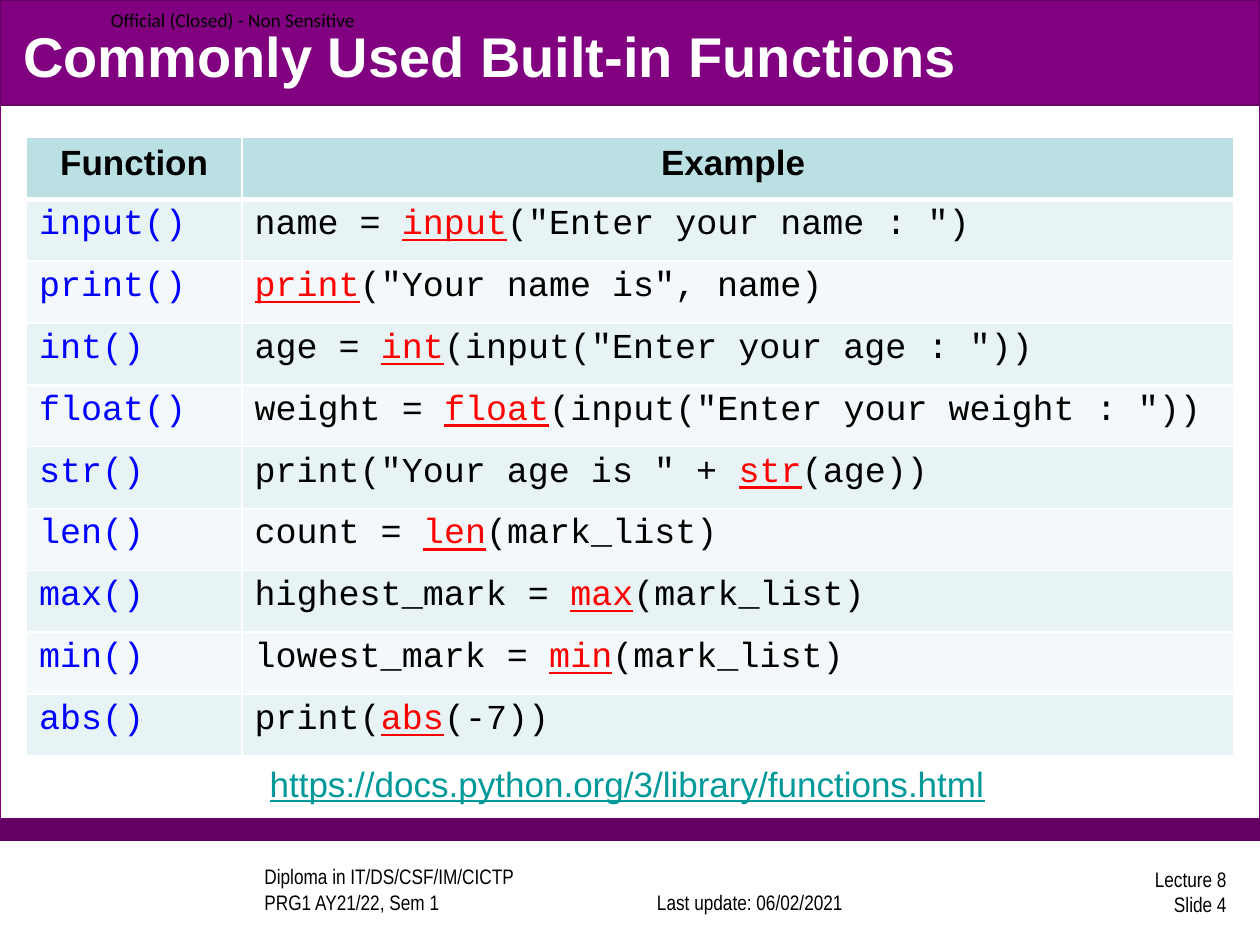
from dataclasses import dataclass
from typing import NamedTuple

from lxml.etree import SubElement
from pptx import Presentation
from pptx.dml.color import RGBColor
from pptx.enum.shapes import MSO_SHAPE
from pptx.enum.text import MSO_ANCHOR, PP_ALIGN
from pptx.oxml.ns import qn
from pptx.util import Pt


@dataclass(frozen=True)
class Theme:
    white: str = "FFFFFF"
    black: str = "000000"
    purple: str = "800080"
    dark_purple: str = "640064"
    header_fill: str = "BBE0E3"
    row_fills: tuple = ("E7F3F4", "F3F9FA")
    function: str = "0000FF"
    highlight: str = "FF0000"
    link: str = "009999"
    heading_font: str = "Arial"
    code_font: str = "Courier New"
    footer_font: str = "Arial Narrow"
    label_font: str = "Calibri"
    title_size: float = 32
    body_size: float = 20
    footer_size: float = 12
    label_size: float = 11


class Box(NamedTuple):
    left: float
    top: float
    width: float
    height: float

    def lengths(self) -> list:
        return [Pt(value) for value in self]


class Band(NamedTuple):
    box: Box
    fill: str
    line: str


class Note(NamedTuple):
    box: Box
    text: str
    font: str
    size: float
    color: str = "000000"
    align: PP_ALIGN = PP_ALIGN.LEFT
    anchor: MSO_ANCHOR = MSO_ANCHOR.MIDDLE
    inset: bool = True
    underline: bool = False


class Example(NamedTuple):
    function: str
    code: str


THEME = Theme()

BANDS = [
    Band(Box(0, 0, 720, 480), THEME.white, THEME.purple),
    Band(Box(0, 468, 720, 12), THEME.dark_purple, THEME.dark_purple),
    Band(Box(0, 0, 720, 60), THEME.purple, THEME.dark_purple),
]

NOTES = [
    Note(Box(144, 496, 192, 30), "Diploma in IT/DS/CSF/IM/CICTP\nPRG1 AY21/22, Sem 1",
         THEME.footer_font, THEME.footer_size, anchor=MSO_ANCHOR.BOTTOM),
    Note(Box(353.5, 496, 150, 30), "Last update: 06/02/2021",
         THEME.footer_font, THEME.footer_size, align=PP_ALIGN.CENTER, anchor=MSO_ANCHOR.BOTTOM),
    Note(Box(558, 494.7, 150, 30), "Lecture 8\nSlide 4",
         THEME.footer_font, THEME.footer_size, align=PP_ALIGN.RIGHT),
    Note(Box(63.3, 0, 153.5, 22.3), "Official (Closed) - Non Sensitive",
         THEME.label_font, THEME.label_size, inset=False),
    Note(Box(147, 432, 426, 31.5), "https://docs.python.org/3/library/functions.html",
         THEME.heading_font, THEME.body_size, THEME.link,
         anchor=MSO_ANCHOR.TOP, underline=True),
]

TITLE_BOX = Box(6, 9.3, 708, 44.6)
TABLE_BOX = Box(15.1, 78.5, 690, 353.5)
COLUMN_WIDTHS = (123.2, 566.8)
HEADINGS = ("Function", "Example ")
EXAMPLES = [
    Example("input", 'name = input("Enter your name : ")'),
    Example("print", 'print("Your name is", name)'),
    Example("int", 'age = int(input("Enter your age : "))'),
    Example("float", 'weight = float(input("Enter your weight : "))'),
    Example("str", 'print("Your age is " + str(age))'),
    Example("len", "count = len(mark_list)"),
    Example("max", "highest_mark = max(mark_list)"),
    Example("min", "lowest_mark = min(mark_list)"),
    Example("abs", "print(abs(-7))"),
]


def set_font(font, name: str, size: float, color: str, bold: bool = False) -> None:
    font.name, font.size, font.bold = name, Pt(size), bold
    font.color.rgb = RGBColor.from_string(color)


def draw_band(slide, band: Band) -> None:
    bar = slide.shapes.add_shape(MSO_SHAPE.RECTANGLE, *band.box.lengths())
    bar.shadow.inherit = False
    bar.fill.solid()
    bar.fill.fore_color.rgb = RGBColor.from_string(band.fill)
    bar.line.color.rgb = RGBColor.from_string(band.line)
    bar.line.width = Pt(0.75)


def draw_note(slide, note: Note) -> None:
    frame = slide.shapes.add_textbox(*note.box.lengths()).text_frame
    frame.word_wrap = True
    frame.vertical_anchor = note.anchor
    if not note.inset:
        frame.margin_left = frame.margin_right = frame.margin_top = frame.margin_bottom = 0
    paragraph = frame.paragraphs[0]
    paragraph.text = note.text
    paragraph.alignment = note.align
    set_font(paragraph.font, note.font, note.size, note.color)
    paragraph.font.underline = note.underline


def draw_title(slide, text: str) -> None:
    title = slide.shapes.title
    title.left, title.top, title.width, title.height = TITLE_BOX.lengths()
    # Bring the title in front of the purple band
    title.element.getparent().append(title.element)
    title.text_frame.vertical_anchor = MSO_ANCHOR.MIDDLE
    paragraph = title.text_frame.paragraphs[0]
    paragraph.text = text
    paragraph.alignment = PP_ALIGN.LEFT
    set_font(paragraph.font, THEME.heading_font, THEME.title_size, THEME.white, bold=True)


def style_cell(cell, fill: str, top: float = 1, bottom: float = 1):
    """Give a cell white borders and a fill; return its spaced paragraph."""
    properties = cell._tc.get_or_add_tcPr()
    for side, width in (("L", 1), ("R", 1), ("T", top), ("B", bottom)):
        border = SubElement(properties, qn(f"a:ln{side}"), w=str(Pt(width)))
        SubElement(SubElement(border, qn("a:solidFill")), qn("a:srgbClr"), val=THEME.white)
    cell.fill.solid()
    cell.fill.fore_color.rgb = RGBColor.from_string(fill)
    paragraph = cell.text_frame.paragraphs[0]
    paragraph.space_before = paragraph.space_after = Pt(3)
    return paragraph


def draw_table(slide) -> None:
    row_count = len(EXAMPLES) + 1
    table = slide.shapes.add_table(row_count, len(HEADINGS), *TABLE_BOX.lengths()).table
    for column, width in zip(table.columns, COLUMN_WIDTHS):
        column.width = Pt(width)
    for row in table.rows:
        row.height = Pt(TABLE_BOX.height / row_count)

    # Heading row
    for index, heading in enumerate(HEADINGS):
        paragraph = style_cell(table.cell(0, index), THEME.header_fill, bottom=3)
        paragraph.text = heading
        paragraph.alignment = PP_ALIGN.CENTER
        set_font(paragraph.font, THEME.heading_font, THEME.body_size, THEME.black, bold=True)

    # One row per function, its name highlighted in the example
    for index, example in enumerate(EXAMPLES):
        fill = THEME.row_fills[index % 2]
        top = 1 if index else 3
        name, code = (style_cell(table.cell(index + 1, column), fill, top) for column in (0, 1))
        name.text = f"{example.function}()"
        set_font(name.font, THEME.code_font, THEME.body_size, THEME.function)
        set_font(code.font, THEME.code_font, THEME.body_size, THEME.black)
        for part in filter(None, example.code.partition(example.function)):
            run = code.add_run()
            run.text = part
            if part == example.function:
                run.font.color.rgb = RGBColor.from_string(THEME.highlight)
                run.font.underline = True


def main() -> None:
    presentation = Presentation()
    presentation.slide_width, presentation.slide_height = Pt(720), Pt(540)
    slide = presentation.slides.add_slide(presentation.slide_layouts[5])
    for band in BANDS:
        draw_band(slide, band)
    for note in NOTES:
        draw_note(slide, note)
    draw_title(slide, "Commonly Used Built-in Functions")
    draw_table(slide)
    presentation.save("out.pptx")


if __name__ == "__main__":
    main()
